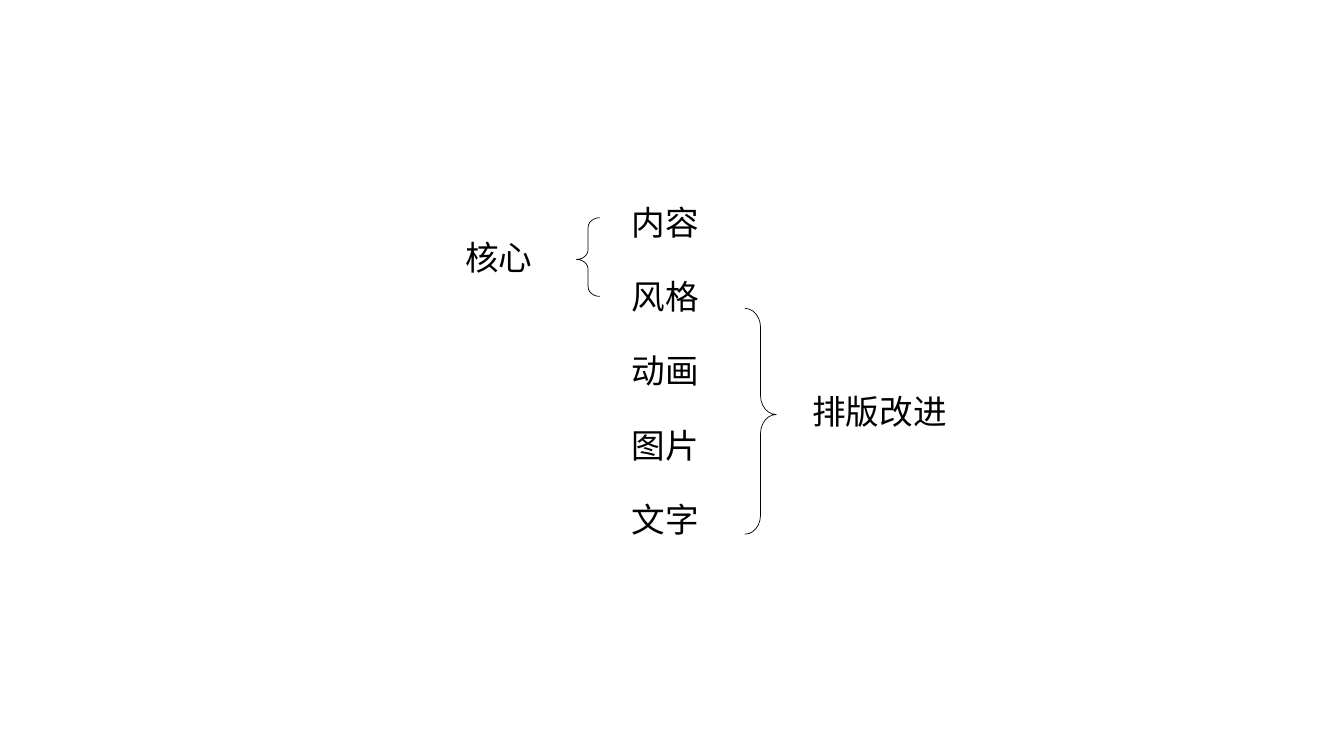
from pptx import Presentation
from pptx.dml.color import RGBColor
from pptx.enum.shapes import MSO_SHAPE
from pptx.enum.text import MSO_AUTO_SIZE
from pptx.oxml.ns import qn
from pptx.util import Pt
from lxml.etree import SubElement

BLACK = RGBColor(0, 0, 0)
FONT = "Noto Sans CJK SC"
TOPICS = ["内容", "风格", "动画", "图片", "文字"]
LEFT, TOP, STEP = 444.2, 140.4, 53.1


def add_label(slide, text, left, top, width):
    box = slide.shapes.add_textbox(Pt(left), Pt(top), Pt(width), Pt(36))
    frame = box.text_frame
    frame.word_wrap = True
    frame.auto_size = MSO_AUTO_SIZE.SHAPE_TO_FIT_TEXT
    run = frame.paragraphs[0].add_run()
    run.text = text
    run.font.size = Pt(24)
    run.font.name = FONT
    run.font.color.rgb = BLACK
    SubElement(run.font._element, qn("a:ea"), typeface=FONT)


def add_brace(slide, kind, left, top, width, height, curve, point):
    brace = slide.shapes.add_shape(kind, Pt(left), Pt(top), Pt(width), Pt(height))
    brace.adjustments[0] = curve
    brace.adjustments[1] = point
    brace.shadow.inherit = False
    brace.fill.background()
    brace.line.color.rgb = BLACK
    brace.line.width = Pt(0.5)


def main():
    deck = Presentation()
    deck.slide_width, deck.slide_height = Pt(960), Pt(540)
    slide = deck.slides.add_slide(deck.slide_layouts[6])
    for row, topic in enumerate(TOPICS):
        add_label(slide, topic, LEFT, TOP + row * STEP, 128.9)
    add_label(slide, "核心", 325.4, 165.6, 64.8)
    add_label(slide, "排版改进", 573.1, 275.8, 115.9)
    add_brace(slide, MSO_SHAPE.LEFT_BRACE, 411.8, 155.5, 16.6, 56.2, 0.42, 0.53)
    add_brace(slide, MSO_SHAPE.RIGHT_BRACE, 532.1, 220.3, 22.3, 161.3, 0.61, 0.47)
    deck.save("out.pptx")


if __name__ == "__main__":
    main()
